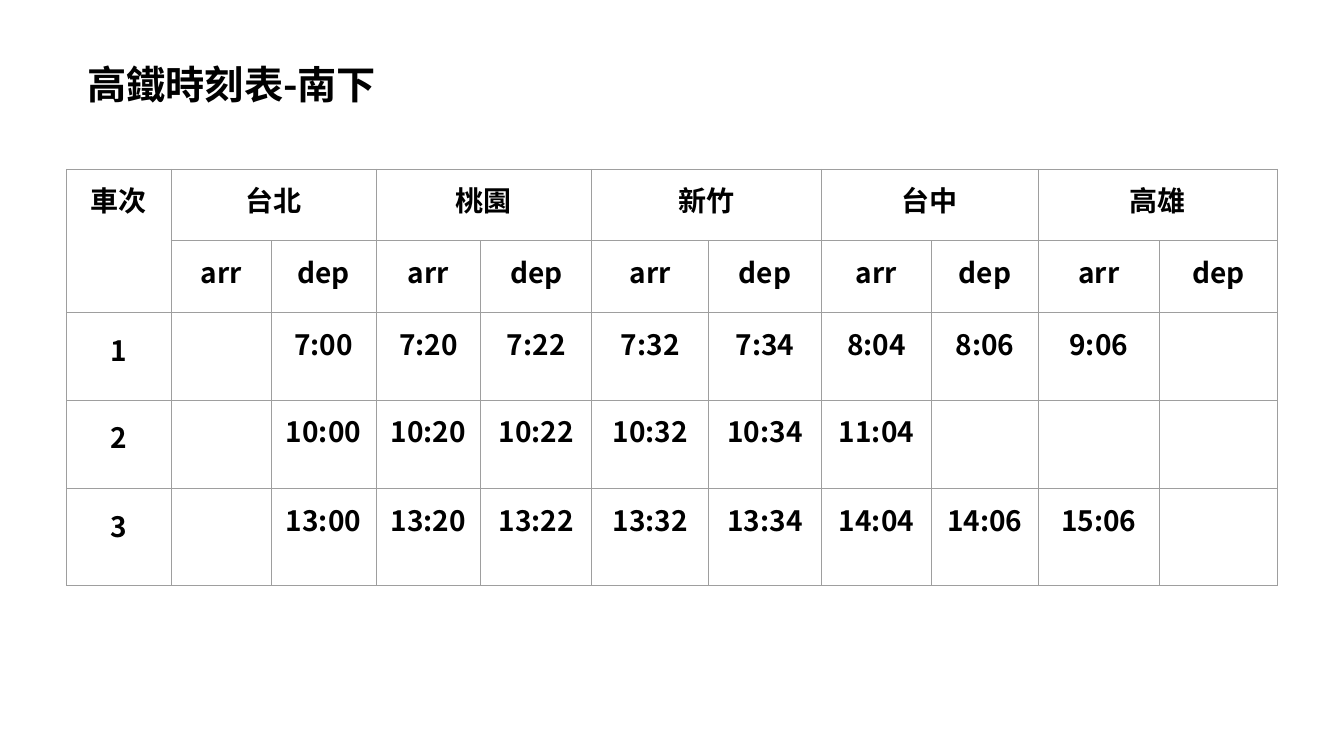
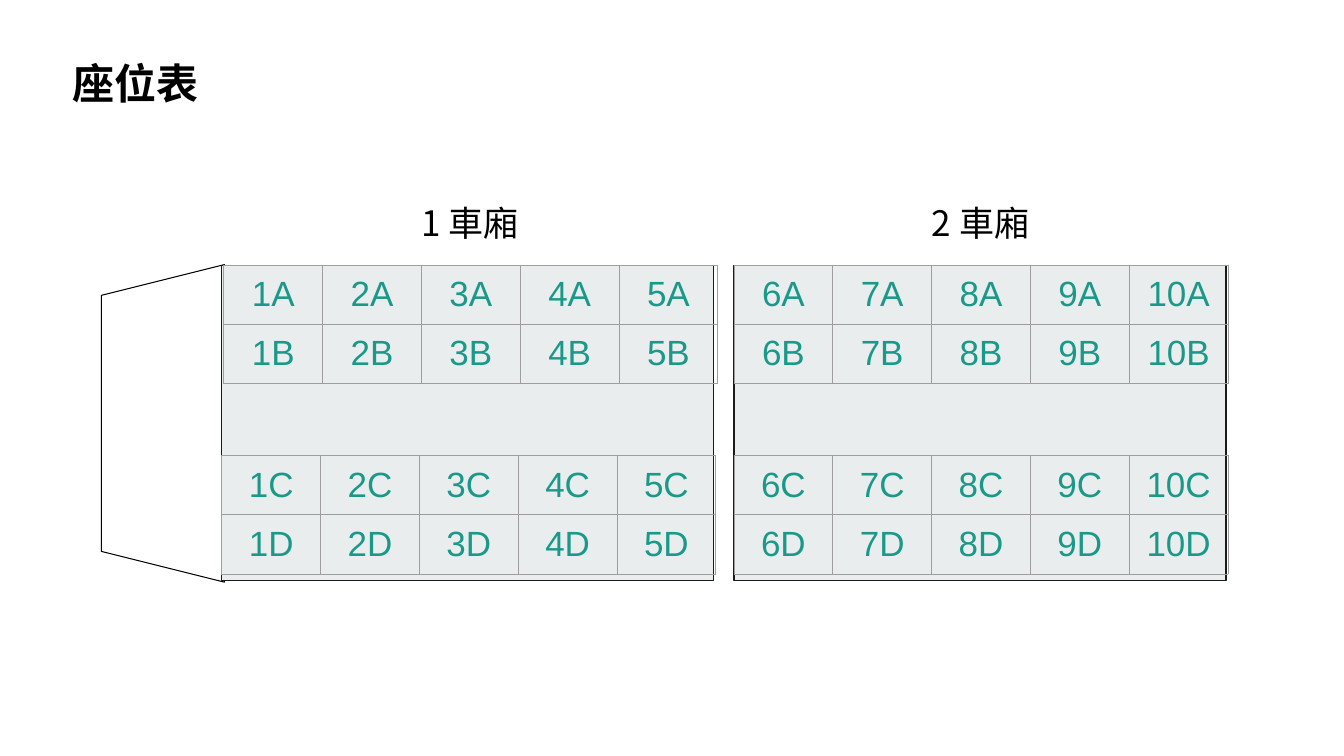
"""Build a train timetable slide and a seat map slide."""
from lxml.etree import SubElement
from pptx import Presentation
from pptx.dml.color import RGBColor
from pptx.enum.shapes import MSO_SHAPE as Shape
from pptx.enum.text import MSO_AUTO_SIZE as AutoSize, PP_ALIGN as Align
from pptx.oxml.ns import qn
from pptx.util import Inches, Pt

CJK_FONT = "Noto Sans CJK TC"
BLACK, TEAL, CAR_GREY, CAR_EDGE, GRID_GREY = "000000", "1A9988", "E9EDEE", "1A1A1A", "9E9E9E"
INSET = Inches(0.1)
color = RGBColor.from_string


def write(paragraph, text, size, face=CJK_FONT, ink=BLACK, bold=False, align=Align.CENTER):
    """Fill a paragraph and set its font for Latin and East Asian text."""
    paragraph.text = text
    paragraph.alignment = align
    font = paragraph.font
    font.size, font.name, font.bold = Pt(size), face, bold
    font.color.rgb = color(ink)
    SubElement(paragraph._p.pPr.find(qn("a:defRPr")), qn("a:ea"), typeface=face)


def add_grid(slide, left, top, widths, heights, texts, **style):
    """Add a table with thin grey borders and no fill."""
    table = slide.shapes.add_table(len(heights), len(widths), Inches(left), Inches(top),
                                   Inches(sum(widths)), Inches(sum(heights))).table
    table.first_row = table.horz_banding = False
    for column, width in zip(table.columns, widths):
        column.width = Inches(width)
    for row, height, row_texts in zip(table.rows, heights, texts):
        row.height = Inches(height)
        for cell, text in zip(row.cells, row_texts):
            cell.margin_left = cell.margin_right = cell.margin_top = cell.margin_bottom = INSET
            write(cell.text_frame.paragraphs[0], text, **style)
            for side in ("a:lnL", "a:lnR", "a:lnT", "a:lnB"):
                border = SubElement(cell._tc.get_or_add_tcPr(), qn(side), w=str(Pt(0.75)))
                SubElement(SubElement(border, qn("a:solidFill")), qn("a:srgbClr"), val=GRID_GREY)
            cell.fill.background()
    return table


deck = Presentation()
deck.slide_width, deck.slide_height = Inches(13.33), Inches(7.5)
timetable, seat_map = [deck.slides.add_slide(deck.slide_layouts[6]) for _ in range(2)]

stations = ["台北", "桃園", "新竹", "台中", "高雄"]
times = [
    ["1", "", "7:00", "7:20", "7:22", "7:32", "7:34", "8:04", "8:06", "9:06", ""],
    ["2", "", "10:00", "10:20", "10:22", "10:32", "10:34", "11:04", "", "", ""],
    ["3", "", "13:00", "13:20", "13:22", "13:32", "13:34", "14:04", "14:06", "15:06", ""],
]
station_row = ["車次"] + [text for station in stations for text in (station, "")]
stop_row = [""] + ["arr", "dep"] * len(stations)
schedule = add_grid(timetable, 0.66, 1.68,
                    [1.04, 0.99, 1.04, 1.04, 1.1, 1.16, 1.12, 1.09, 1.06, 1.2, 1.17],
                    [0.71, 0.71, 0.87, 0.88, 0.96],
                    [station_row, stop_row] + times, size=20, bold=True)
schedule.cell(0, 0).merge(schedule.cell(1, 0))
for column in range(1, len(station_row), 2):
    schedule.cell(0, column).merge(schedule.cell(0, column + 1))
for row in range(2, 5):
    schedule.cell(row, 0).text_frame.paragraphs[0].line_spacing = 1.15

seat_width, seats_per_row = 0.98, 5
car_lefts, car_top, car_width, car_height = [2.2, 7.28], 2.63, 4.88, 3.13
nose = seat_map.shapes.add_shape(Shape.TRAPEZOID, Inches(0.04), Inches(3.59),
                                 Inches(3.15), Inches(1.22))
nose.rotation = 270
nose.fill.background()
nose.line.color.rgb = color(BLACK)
cars = [seat_map.shapes.add_shape(Shape.RECTANGLE, Inches(left), Inches(car_top),
                                  Inches(car_width), Inches(car_height)) for left in car_lefts]
for car in cars:
    car.fill.solid()
    car.fill.fore_color.rgb = color(CAR_GREY)
    car.line.color.rgb = color(CAR_EDGE)
for body in [nose] + cars:
    body.line.width = Pt(0.75)
    body.shadow.inherit = False

for car_index, car_left in enumerate(car_lefts):
    first = car_index * seats_per_row + 1
    for letters, top in (("AB", car_top), ("CD", 4.52)):
        nudge = 0.02 if (first, letters) == (1, "AB") else 0
        seats = [[f"{number}{letter}" for number in range(first, first + seats_per_row)]
                 for letter in letters]
        add_grid(seat_map, car_left + nudge, top, [seat_width] * seats_per_row, [0.54] * 2,
                 seats, size=25, face="Arial", ink=TEAL)

title_style = dict(size=30, bold=True, align=Align.LEFT)
for slide, text, left, top, width, height, style in (
    (timetable, "高鐵時刻表-南下", 0.77, 0.51, 3.3, 0.69, title_style),
    (seat_map, "1 車廂", 3.3, 1.9, 2.73, 0.63, dict(size=25)),
    (seat_map, "2 車廂", 8.36, 1.9, 2.73, 0.63, dict(size=25)),
    (seat_map, "座位表", 0.62, 0.47, 2.24, 0.75, title_style),
):
    frame = slide.shapes.add_textbox(Inches(left), Inches(top), Inches(width),
                                     Inches(height)).text_frame
    frame.word_wrap = True
    frame.auto_size = AutoSize.TEXT_TO_FIT_SHAPE
    frame.margin_left = frame.margin_right = frame.margin_top = frame.margin_bottom = INSET
    write(frame.paragraphs[0], text, **style)

deck.save("out.pptx")
